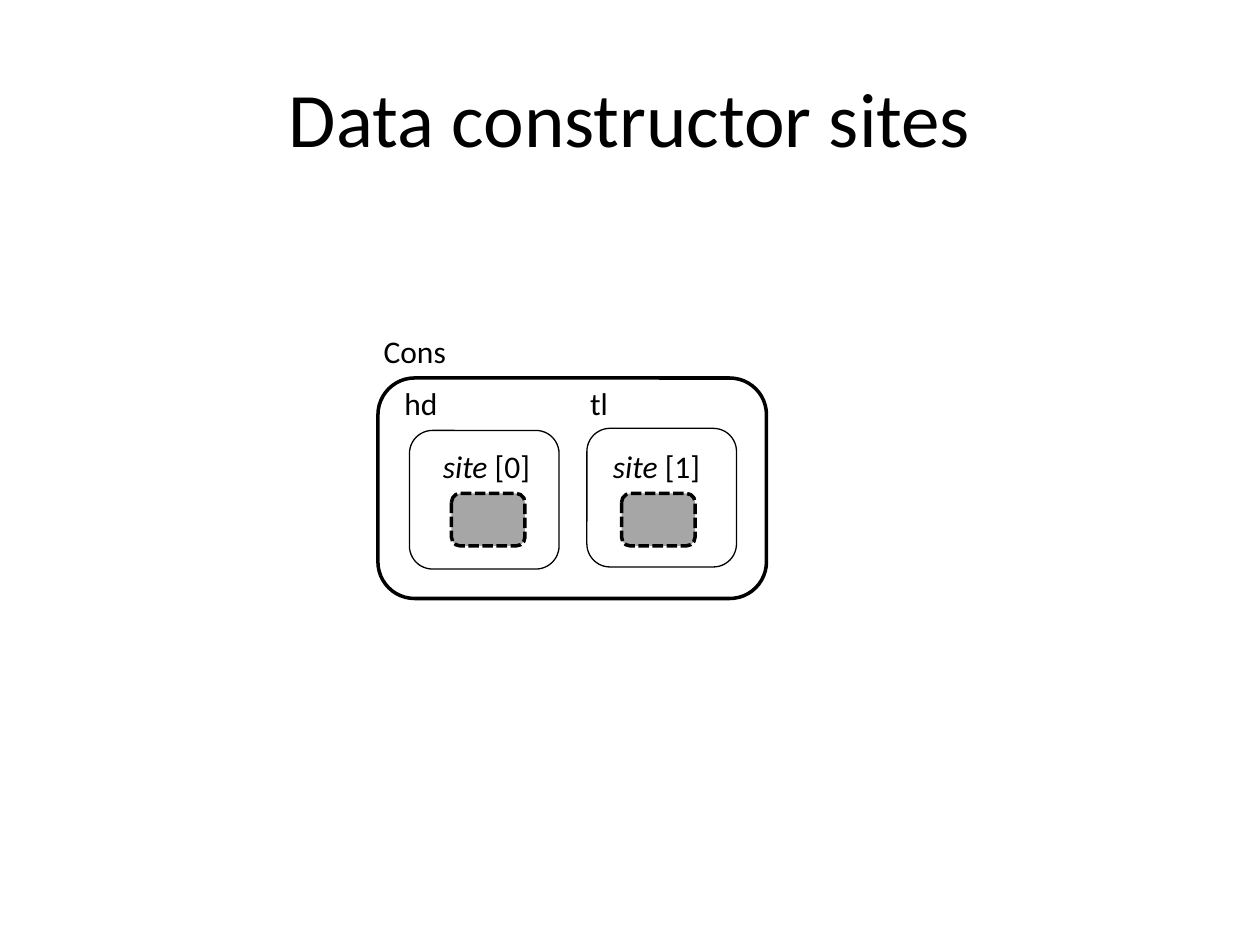
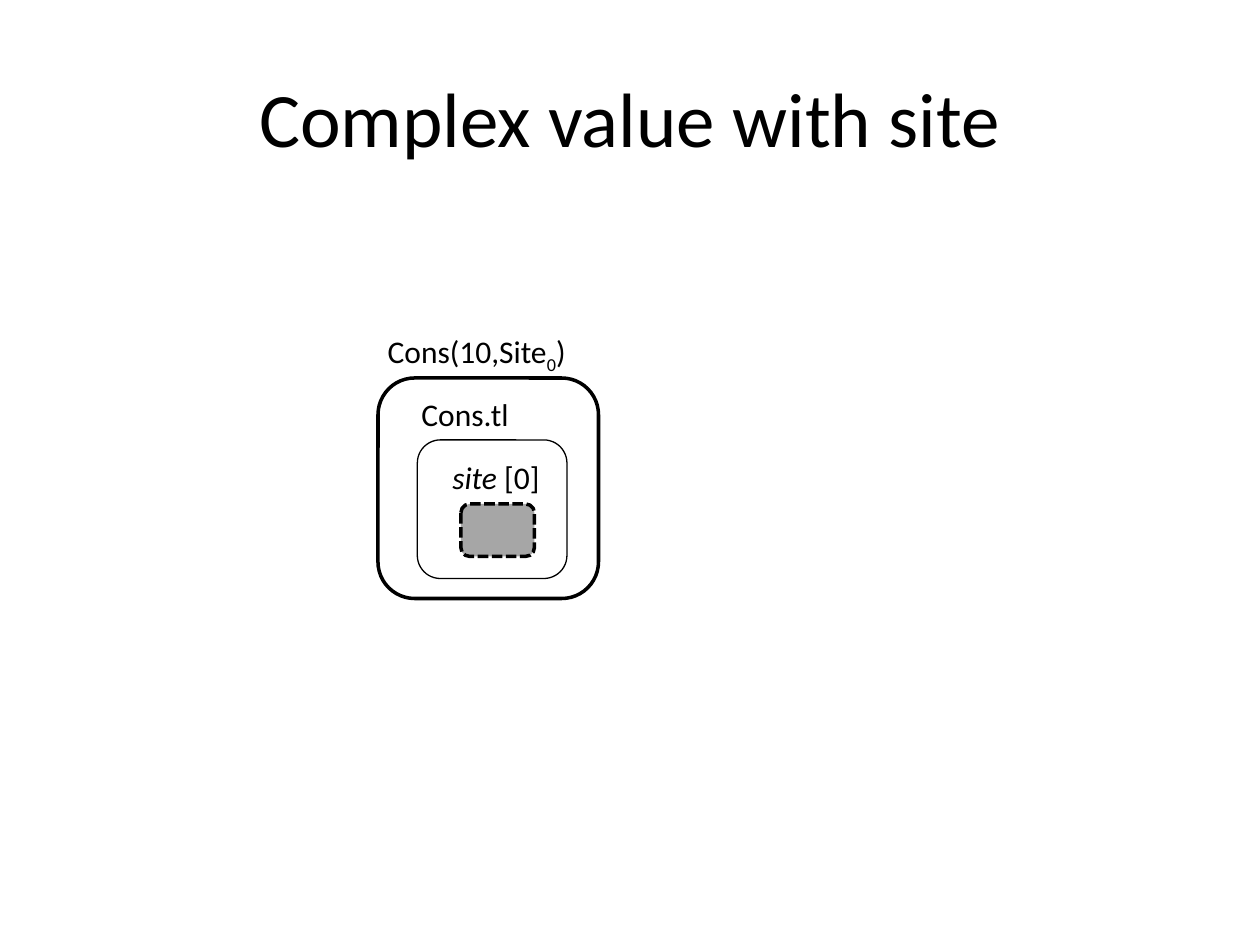
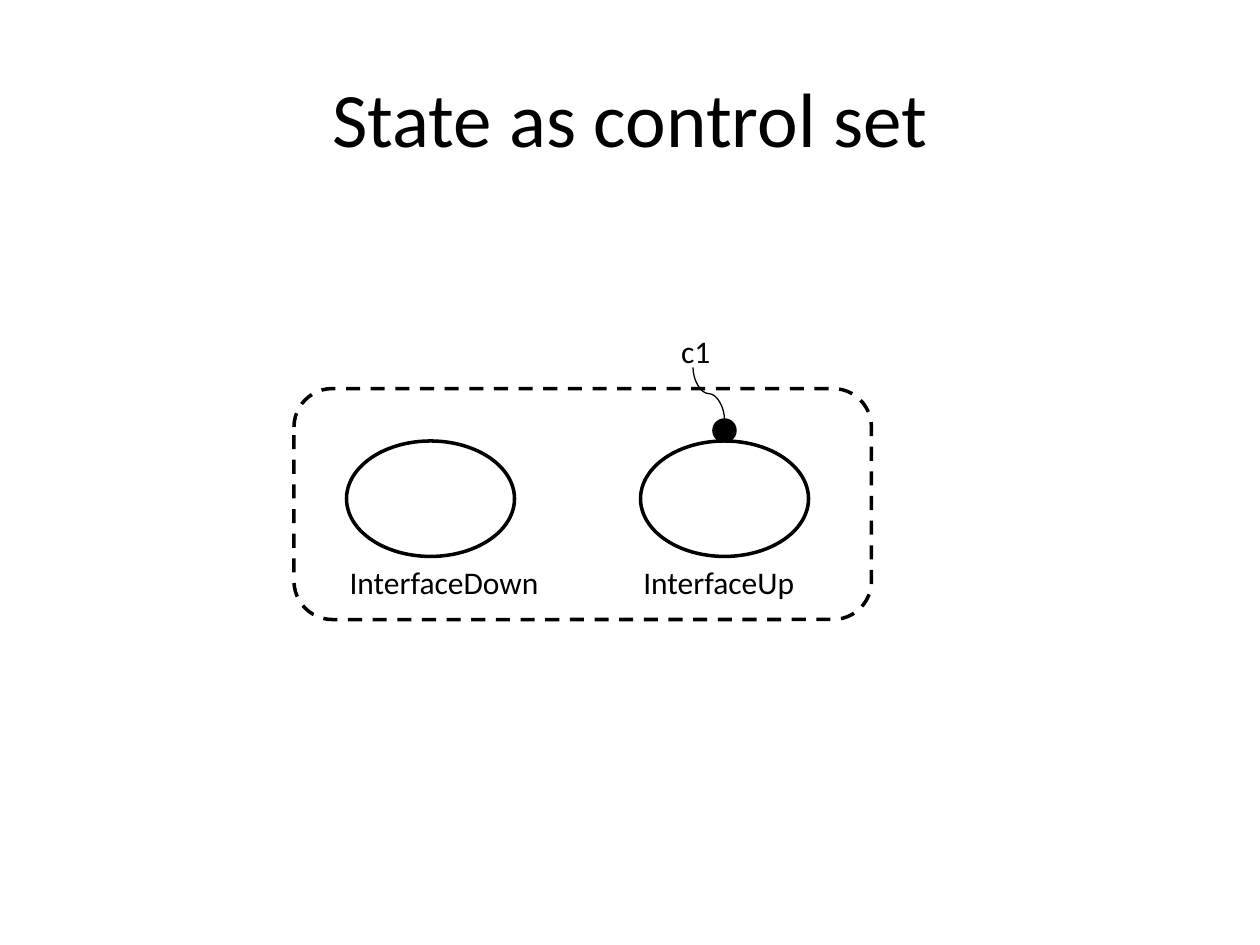
from dataclasses import dataclass

from pptx import Presentation, util as u
from pptx.dml.color import RGBColor
from pptx.enum import dml, shapes, text
from pptx.oxml.ns import qn
from pptx.oxml.xmlchemy import OxmlElement


@dataclass(frozen=True)
class Theme:
    font: str = "Calibri"
    title_size: int = 44
    label_size: int = 18
    ink: RGBColor = RGBColor(0, 0, 0)
    paper: RGBColor = RGBColor(255, 255, 255)
    site: RGBColor = RGBColor(0xA6, 0xA6, 0xA6)
    thick: float = 2
    thin: float = 0.75


THEME = Theme()
ROUNDED = shapes.MSO_SHAPE.ROUNDED_RECTANGLE
OVAL = shapes.MSO_SHAPE.OVAL
CENTER, LEFT = text.PP_ALIGN.CENTER, text.PP_ALIGN.LEFT

# The slide is a grid of 120 columns and 90 rows; boxes are (column, row, columns, rows).
COLUMNS, ROWS = 120, 90
TITLE_BOX = (6, 3.6, 108, 15)
LABEL_ROWS = 4.8
FIELD_SIZE = (14.25, 13.2)
SITE_SIZE = (7, 5)
STATE_SIZE = (16, 11)

# Label: (runs, column, row, columns); field: (column, row); site: (index, column, row)
VALUE_SLIDES = [
    {
        "title": "Data constructor sites",
        "constructor": (36, 36, 37, 21),
        "fields": [(39, 41), (55.9, 40.8)],
        "labels": [
            ([("Cons", "")], 35.3, 31, 8.4),
            ([("hd", "")], 37.3, 36, 5.6),
            ([("tl", "")], 55, 36, 4.1),
        ],
        "sites": [(0, 43, 47), (1, 59.2, 47)],
    },
    {
        "title": "Complex value with site",
        "constructor": (36, 36, 21, 21),
        "fields": [(39.75, 41.9)],
        "labels": [
            ([("Cons(10,Site", ""), ("0", "subscript"), (")", "")], 35.3, 31, 20.2),
            ([("Cons.tl", "")], 38.9, 37, 10.8),
        ],
        "sites": [(0, 43.9, 48)],
    },
]
STATE_SLIDE = {
    "title": "State as control set",
    "control_set": (28, 37, 55, 22),
    "state_row": 42,
    "states": [("InterfaceDown", 33, 20.6), ("InterfaceUp", 61, 16.9)],
    "port": (68, 40, 2, 2),
    "port_label": ([("c1", "")], 63.7, 31, 5.3),
    "link_end": (66, 35),
}


def cells(count):
    return u.Inches(count * 10 / COLUMNS)


def set_font(font, size):
    font.name, font.size, font.color.rgb = THEME.font, u.Pt(size), THEME.ink


def add_titled_slide(presentation, title):
    slide = presentation.slides.add_slide(presentation.slide_layouts[5])
    placeholder = slide.shapes.title
    placeholder.left, placeholder.top, placeholder.width, placeholder.height = map(cells, TITLE_BOX)
    placeholder.text_frame.text = title
    placeholder.text_frame.vertical_anchor = text.MSO_ANCHOR.MIDDLE
    paragraph = placeholder.text_frame.paragraphs[0]
    paragraph.alignment = CENTER
    set_font(paragraph.font, THEME.title_size)
    return slide


def add_outline(slide, preset, box, fill=THEME.paper, width=THEME.thick, dash=None):
    shape = slide.shapes.add_shape(preset, *map(cells, box))
    shape.shadow.inherit = False
    if fill is None:
        shape.fill.background()
    else:
        shape.fill.solid()
        shape.fill.fore_color.rgb = fill
    shape.line.color.rgb = THEME.ink
    shape.line.width = u.Pt(width)
    if dash:
        shape.line.dash_style = dash


def add_label(slide, runs, column, row, columns, alignment=CENTER):
    box = slide.shapes.add_textbox(*map(cells, (column, row, columns, LABEL_ROWS)))
    frame = box.text_frame
    frame.word_wrap = False
    frame.auto_size = text.MSO_AUTO_SIZE.SHAPE_TO_FIT_TEXT
    paragraph = frame.paragraphs[0]
    paragraph.alignment = alignment
    set_font(paragraph.font, THEME.label_size)
    for words, style in runs:
        run = paragraph.add_run()
        run.text = words
        if style == "italic":
            run.font.italic = True
        elif style == "subscript":
            run.font._element.set("baseline", "-25000")


def add_site(slide, index, column, row):
    add_outline(slide, ROUNDED, (column, row, *SITE_SIZE), THEME.site,
                dash=dml.MSO_LINE.SQUARE_DOT)
    add_label(slide, [("site ", "italic"), (f"[{index}]", "")], column - 2, row - 5, 10.8, LEFT)


def add_upward_curve(slide, start, end):
    """Curve that leaves and arrives vertically: a flat one turned by 270 degrees."""
    middle_x, middle_y = (start[0] + end[0]) / 2, (start[1] + end[1]) / 2
    half_run, half_rise = (start[1] - end[1]) / 2, (start[0] - end[0]) / 2
    corners = (middle_x - half_run, middle_y + half_rise,
               middle_x + half_run, middle_y - half_rise)
    curve = slide.shapes.add_connector(shapes.MSO_CONNECTOR.CURVE, *map(cells, corners))
    curve.line.color.rgb = THEME.ink
    curve.line.width = u.Pt(THEME.thin)
    properties = curve._element.spPr
    properties.find(qn("a:xfrm")).set("rot", str(270 * 60000))
    properties.append(OxmlElement("a:effectLst"))


def build_value_slide(presentation, content):
    slide = add_titled_slide(presentation, content["title"])
    add_outline(slide, ROUNDED, content["constructor"])
    for field in content["fields"]:
        add_outline(slide, ROUNDED, (*field, *FIELD_SIZE), width=THEME.thin)
    for label in content["labels"]:
        add_label(slide, *label)
    for site in content["sites"]:
        add_site(slide, *site)


def build_state_slide(presentation, content):
    slide = add_titled_slide(presentation, content["title"])
    row = content["state_row"]
    for name, column, label_columns in content["states"]:
        add_outline(slide, OVAL, (column, row, *STATE_SIZE))
        add_label(slide, [(name, "")], column - 1, row + STATE_SIZE[1], label_columns)

    # Port on the active state, with its named link
    port = content["port"]
    add_outline(slide, OVAL, port, THEME.ink)
    add_label(slide, *content["port_label"], LEFT)
    add_upward_curve(slide, (port[0] + port[2] / 2, port[1]), content["link_end"])

    add_outline(slide, ROUNDED, content["control_set"], None, dash=dml.MSO_LINE.DASH)


def main():
    presentation = Presentation()
    presentation.slide_width, presentation.slide_height = cells(COLUMNS), cells(ROWS)
    for content in VALUE_SLIDES:
        build_value_slide(presentation, content)
    build_state_slide(presentation, STATE_SLIDE)
    presentation.save("out.pptx")


if __name__ == "__main__":
    main()
